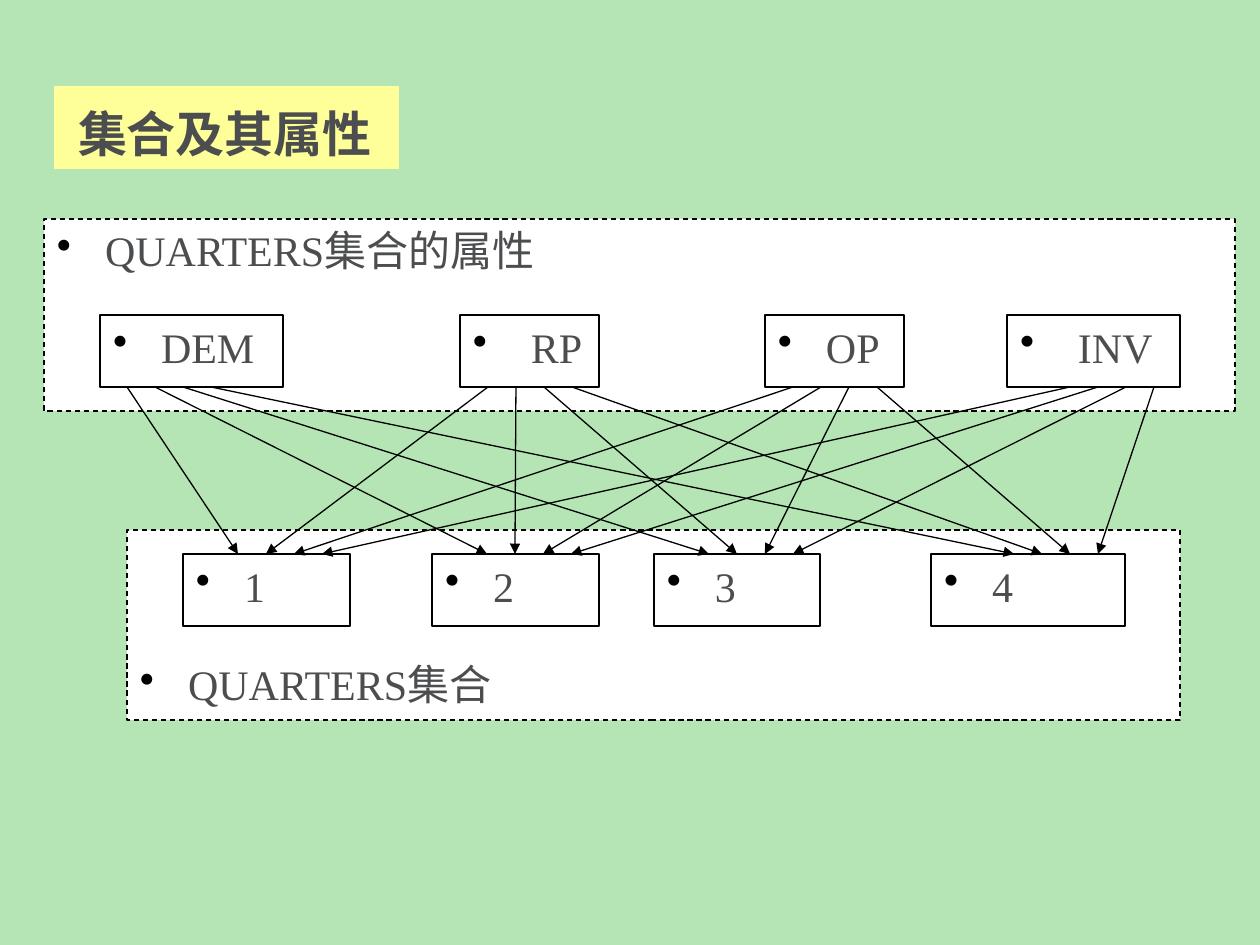
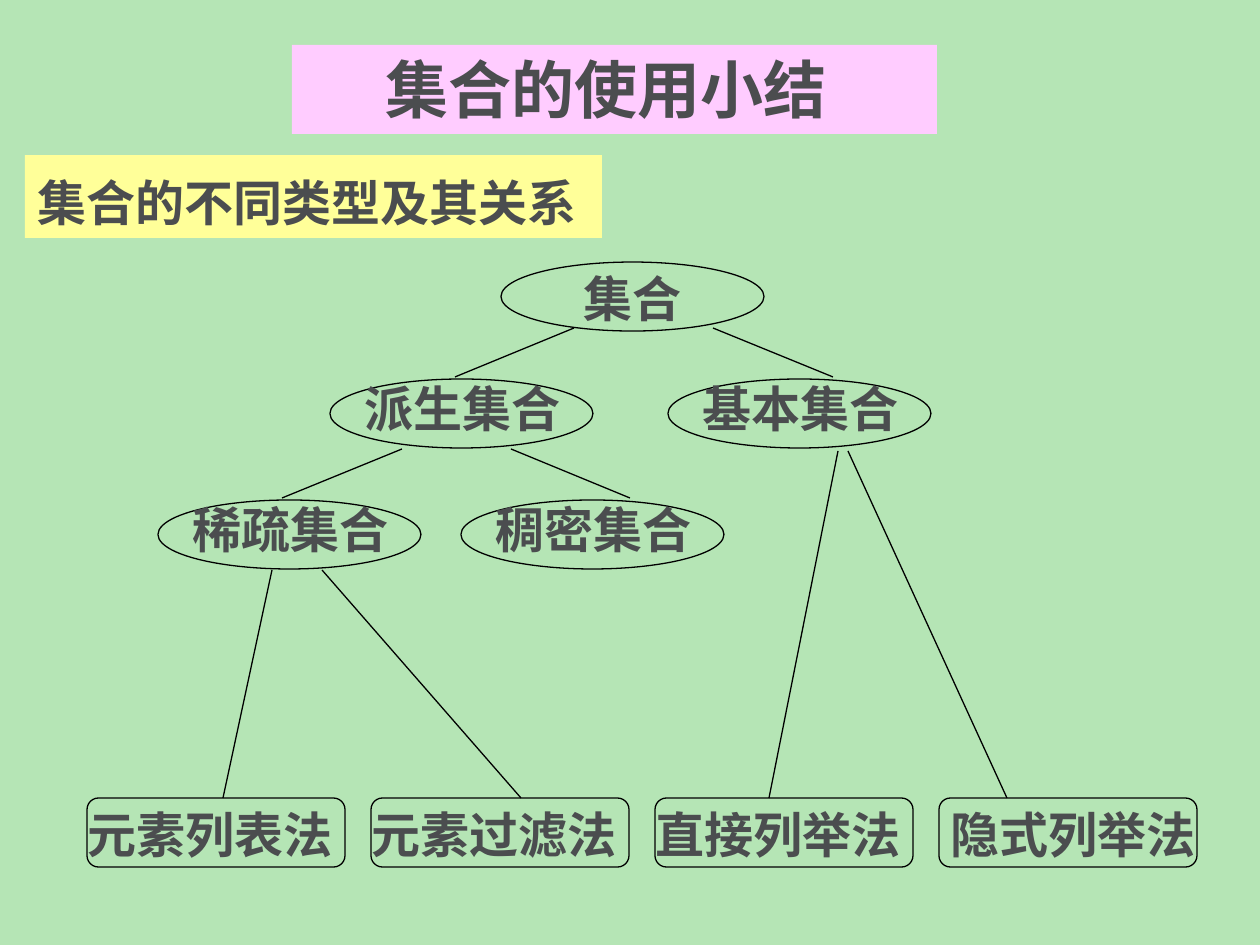
import dataclasses
import typing

import lxml.etree
import pptx
import pptx.dml.color
import pptx.enum.dml
import pptx.enum.shapes
import pptx.enum.text
import pptx.oxml.ns
import pptx.util

PX_PER_INCH = 126
SLIDE_WIDTH, SLIDE_HEIGHT = 1260, 945
FONT = "Times New Roman"
COLOURS = {
    "page": "B5E5B5",
    "text": "4B4D4F",
    "outline": "000000",
    "box": "FFFFFF",
    "heading": "FFCCFF",
    "topic": "FFFF99",
}
ALIGN = pptx.enum.text.PP_ALIGN
PRESET = pptx.enum.shapes.MSO_SHAPE
qn = pptx.oxml.ns.qn


class Frame(typing.NamedTuple):
    left: int
    top: int
    width: int
    height: int


class Link(typing.NamedTuple):
    x1: int
    y1: int
    x2: int
    y2: int


@dataclasses.dataclass(frozen=True)
class TextStyle:
    size: int
    bold: bool = True
    align: typing.Any = ALIGN.LEFT
    line_spacing: float = 1.0
    bullet: bool = False


@dataclasses.dataclass(frozen=True)
class Box:
    text: str
    frame: Frame
    indent: int = 48
    inset_top: int = 6
    dashed: bool = False


@dataclasses.dataclass(frozen=True)
class Node:
    text: str
    outline: Frame
    label: Frame
    preset: typing.Any = PRESET.OVAL
    indent: int = 0


HEADING = TextStyle(36, align=ALIGN.CENTER)
TOPIC = TextStyle(28, line_spacing=1.2)
NODE = TextStyle(28)
BULLET = TextStyle(24, bold=False, align=ALIGN.JUSTIFY, bullet=True)


def px(length: int) -> pptx.util.Emu:
    return pptx.util.Emu(round(length * 914400 / PX_PER_INCH))


def rgb(name: str) -> pptx.dml.color.RGBColor:
    return pptx.dml.color.RGBColor.from_string(COLOURS[name])


def new_slide(deck: typing.Any) -> typing.Any:
    slide = deck.slides.add_slide(deck.slide_layouts[6])
    slide.background.fill.solid()
    slide.background.fill.fore_color.rgb = rgb("page")
    return slide


def write(shape: typing.Any, text: str, style: TextStyle, indent: int = 0,
          inset_top: int = 6, right_indent: int = 0) -> None:
    frame = shape.text_frame
    frame.word_wrap = True
    frame.vertical_anchor = pptx.enum.text.MSO_ANCHOR.TOP
    frame.margin_left = px(13)
    frame.margin_right = px(13 + right_indent)
    frame.margin_top = px(inset_top)
    frame.margin_bottom = px(6)
    paragraph = frame.paragraphs[0]
    paragraph.text = text
    paragraph.alignment = style.align
    paragraph.line_spacing = style.line_spacing
    properties = paragraph._p.get_or_add_pPr()
    properties.set("marL", str(px(indent)))
    properties.set("indent", str(px(-indent if style.bullet else 0)))
    if style.bullet:
        colour = lxml.etree.SubElement(properties, qn("a:buClr"))
        lxml.etree.SubElement(colour, qn("a:srgbClr"), val=COLOURS["outline"])
        lxml.etree.SubElement(properties, qn("a:buChar"), char="•")
    font = paragraph.font
    font.name = FONT
    font.size = pptx.util.Pt(style.size)
    font.bold = style.bold
    font.color.rgb = rgb("text")


def draw_shape(slide: typing.Any, preset: typing.Any, frame: Frame,
               fill: str | None = None, outlined: bool = True) -> typing.Any:
    shape = slide.shapes.add_shape(preset, *map(px, frame))
    shape.shadow.inherit = False
    if fill:
        shape.fill.solid()
        shape.fill.fore_color.rgb = rgb(fill)
    else:
        shape.fill.background()
    if outlined:
        shape.line.color.rgb = rgb("outline")
        shape.line.width = pptx.util.Pt(0.75)
    else:
        shape.line.fill.background()
    return shape


def draw_band(slide: typing.Any, text: str, frame: Frame, fill: str,
              style: TextStyle, indent: int = 0, right_indent: int = 0) -> None:
    band = draw_shape(slide, PRESET.RECTANGLE, frame, fill, outlined=False)
    write(band, text, style, indent, right_indent=right_indent)


def draw_box(slide: typing.Any, box: Box) -> None:
    shape = draw_shape(slide, PRESET.RECTANGLE, box.frame, "box")
    if box.dashed:
        shape.line.dash_style = pptx.enum.dml.MSO_LINE.DASH
    write(shape, box.text, BULLET, box.indent, box.inset_top)


def draw_node(slide: typing.Any, node: Node) -> None:
    draw_shape(slide, node.preset, node.outline)
    label = slide.shapes.add_textbox(*map(px, node.label))
    write(label, node.text, NODE, node.indent)


def draw_link(slide: typing.Any, link: Link, arrow: bool = False) -> None:
    connector = slide.shapes.add_connector(
        pptx.enum.shapes.MSO_CONNECTOR.STRAIGHT, *map(px, link))
    connector.line.color.rgb = rgb("outline")
    connector.line.width = pptx.util.Pt(0.75)
    if arrow:
        lxml.etree.SubElement(connector.line._get_or_add_ln(),
                              qn("a:tailEnd"), type="triangle")
    lxml.etree.SubElement(connector._element.spPr, qn("a:effectLst"))


def build_attributes(deck: typing.Any) -> None:
    slide = new_slide(deck)
    attribute_top, quarter_top, box_height, arrow_gap = 315, 554, 72, 28
    panels = [
        Box("QUARTERS集合的属性", Frame(44, 219, 1191, 192), dashed=True),
        Box("QUARTERS集合", Frame(127, 530, 1053, 190), inset_top=129, dashed=True),
    ]
    attributes = [
        Box("DEM", Frame(100, attribute_top, 183, box_height)),
        Box("RP", Frame(460, attribute_top, 139, box_height), indent=58),
        Box("OP", Frame(765, attribute_top, 139, box_height)),
        Box("INV", Frame(1007, attribute_top, 173, box_height), indent=58),
    ]
    quarters = [
        Box(str(number), Frame(left, quarter_top, width, box_height))
        for number, (left, width) in enumerate(
            [(183, 167), (432, 167), (654, 166), (931, 194)], start=1)
    ]
    for box in panels + attributes + quarters:
        draw_box(slide, box)

    attribute_exits = [127, 488, 793, 1070]
    quarter_entries = [238, 487, 709, 1014]
    for row, exit_x in enumerate(attribute_exits):
        for column, entry_x in enumerate(quarter_entries):
            draw_link(slide, Link(exit_x + arrow_gap * column,
                                  attribute_top + box_height,
                                  entry_x + arrow_gap * row,
                                  quarter_top), arrow=True)

    draw_band(slide, "集合及其属性", Frame(54, 86, 345, 83), "topic", TOPIC, indent=11)


def set_node(text: str, left: int, top: int) -> Node:
    return Node(text, Frame(left, top, 263, 69), Frame(left + 22, top - 7, 238, 72))


def method_node(text: str, column: int, indent: int = 0) -> Node:
    left, top = 87 + 284 * column, 798
    return Node(text, Frame(left, top, 258, 69), Frame(left - 12, top, 287, 72),
                PRESET.ROUNDED_RECTANGLE, indent)


def build_summary(deck: typing.Any) -> None:
    slide = new_slide(deck)
    draw_band(slide, "集合的使用小结", Frame(292, 45, 645, 89), "heading", HEADING,
              right_indent=16)
    draw_band(slide, "集合的不同类型及其关系", Frame(25, 155, 577, 83), "topic", TOPIC)

    nodes = [
        Node("集合", Frame(501, 262, 263, 69), Frame(571, 262, 128, 72)),
        set_node("派生集合", 330, 379),
        set_node("基本集合", 668, 379),
        set_node("稀疏集合", 158, 500),
        set_node("稠密集合", 461, 500),
        method_node("元素列表法", 0),
        method_node("元素过滤法", 1),
        method_node("直接列举法", 2),
        method_node("隐式列举法", 3, indent=11),
    ]
    links = [
        Link(574, 328, 455, 377),
        Link(713, 328, 833, 377),
        Link(402, 449, 282, 498),
        Link(511, 449, 630, 498),
        Link(272, 570, 223, 798),
        Link(322, 570, 521, 798),
        Link(838, 451, 769, 798),
        Link(848, 451, 1007, 798),
    ]
    for node in nodes:
        draw_node(slide, node)
    for link in links:
        draw_link(slide, link)


def main() -> None:
    deck = pptx.Presentation()
    deck.slide_width, deck.slide_height = px(SLIDE_WIDTH), px(SLIDE_HEIGHT)
    build_attributes(deck)
    build_summary(deck)
    deck.save("out.pptx")


if __name__ == "__main__":
    main()
